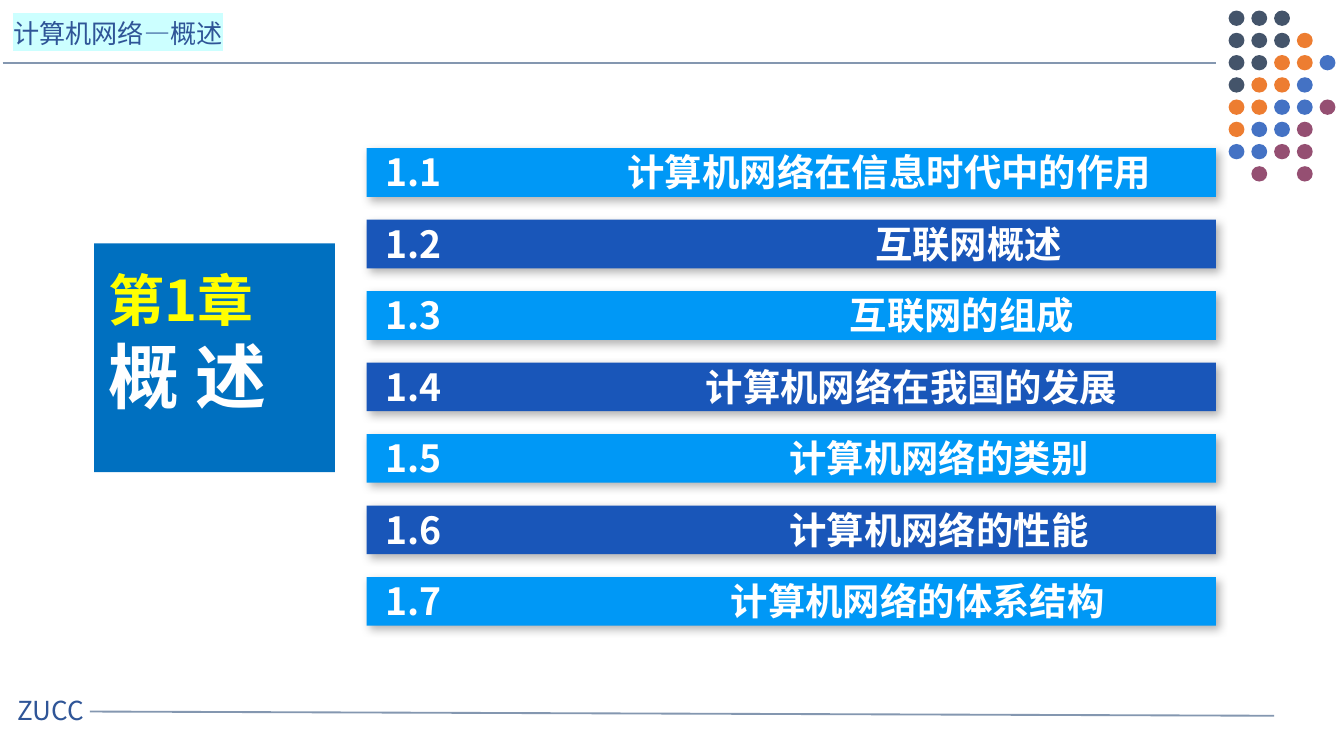
import lxml.etree
import pptx
import pptx.dml.color
import pptx.enum.shapes
import pptx.enum.text
import pptx.oxml.ns
import pptx.util

Cm = pptx.util.Cm
qn = pptx.oxml.ns.qn
SHAPES = pptx.enum.shapes.MSO_SHAPE

COLORS = {
    "rule": "8497B0", "label": "2F5597", "highlight": "CCFFFF",
    "slate": "44546A", "orange": "ED7D31", "blue": "4472C4", "plum": "954F72",
    "light_bar": "0098F6", "dark_bar": "1956B9", "chapter": "0070C0",
    "white": "FFFFFF", "yellow": "FFFF00", "shadow": "000000",
}
DOT_COLORS = {"s": "slate", "o": "orange", "b": "blue", "p": "plum"}
DOT_ROWS = ["sss", "ssso", "ssoob", "soob", "oobbp", "obbp", "bbpp", " p p"]
SECTIONS = [
    ("1.1", "计算机网络在信息时代中的作用", 4.57),
    ("1.2", "互联网概述", 9.25),
    ("1.3", "互联网的组成", 8.77),
    ("1.4", "计算机网络在我国的发展", 6.05),
    ("1.5", "计算机网络的类别", 7.63),
    ("1.6", "计算机网络的性能", 7.63),
    ("1.7", "计算机网络的体系结构", 6.52),
]
BAR_TOP, BAR_PITCH = 2.8, 1.35


def rgb(name):
    return pptx.dml.color.RGBColor.from_string(COLORS[name])


class ChapterSlide:
    font = "Noto Sans CJK SC"

    def __init__(self, presentation):
        self.slide = presentation.slides.add_slide(presentation.slide_layouts[5])

    def format_run(self, run, size, color, bold=False):
        run.font.size = pptx.util.Pt(size)
        run.font.bold = bold
        run.font.color.rgb = rgb(color)
        run.font.name = self.font
        east_asian = lxml.etree.SubElement(run.font._element, qn("a:ea"))
        east_asian.set("typeface", self.font)

    def rule(self, x1, y1, x2, y2):
        line = self.slide.shapes.add_connector(
            pptx.enum.shapes.MSO_CONNECTOR.STRAIGHT, Cm(x1), Cm(y1), Cm(x2), Cm(y2))
        line.line.color.rgb = rgb("rule")
        line.line.width = pptx.util.Pt(1)
        lxml.etree.SubElement(line._element.spPr, qn("a:effectLst"))

    def block(self, kind, left, top, width, height, color):
        block = self.slide.shapes.add_shape(kind, Cm(left), Cm(top), Cm(width), Cm(height))
        block.shadow.inherit = False
        block.fill.solid()
        block.fill.fore_color.rgb = rgb(color)
        block.line.fill.background()
        return block

    def bar(self, top, color):
        bar = self.block(SHAPES.RECTANGLE, 6.93, top, 16.05, 0.92, color)
        effects = bar._element.spPr.find(qn("a:effectLst"))
        shadow = lxml.etree.SubElement(
            effects, qn("a:outerShdw"), blurRad=str(pptx.util.Pt(4.5)),
            dist=str(pptx.util.Pt(2.6)), dir=str(53 * 60000), algn="tl", rotWithShape="0")
        tint = lxml.etree.SubElement(shadow, qn("a:srgbClr"), val=COLORS["shadow"])
        lxml.etree.SubElement(tint, qn("a:alpha"), val="30000")

    def text(self, content, left, top, width, height, size, color, bold=False):
        box = self.slide.shapes.add_textbox(Cm(left), Cm(top), Cm(width), Cm(height))
        box.text_frame.word_wrap = True
        paragraph = box.text_frame.paragraphs[0]
        paragraph.text = content
        self.format_run(paragraph.runs[0], size, color, bold)
        return paragraph

    def highlighted_text(self, content, *place_and_style):
        paragraph = self.text(content, *place_and_style)
        fill = paragraph.runs[0].font._element.find(qn("a:solidFill"))
        highlight = lxml.etree.Element(qn("a:highlight"))
        lxml.etree.SubElement(highlight, qn("a:srgbClr"), val=COLORS["highlight"])
        fill.addnext(highlight)

    def section(self, number, name, name_offset, top):
        paragraph = self.text(f"{number}\t{name}", 7.04, top, 16.05, 1.12, 20, "white", True)
        tabs = lxml.etree.SubElement(paragraph._p.get_or_add_pPr(), qn("a:tabLst"))
        lxml.etree.SubElement(tabs, qn("a:tab"), pos=str(Cm(name_offset)), algn="l")

    def title(self, lines, left, top, width, height):
        title = self.slide.shapes.title
        title.left, title.top, title.width, title.height = map(Cm, (left, top, width, height))
        frame = title.text_frame
        frame.text = "\n".join(content for content, _, _ in lines)
        frame.word_wrap = True
        frame.auto_size = pptx.enum.text.MSO_AUTO_SIZE.NONE
        frame.vertical_anchor = pptx.enum.text.MSO_ANCHOR.TOP
        for paragraph, (_, size, color) in zip(frame.paragraphs, lines):
            paragraph.alignment = pptx.enum.text.PP_ALIGN.LEFT
            self.format_run(paragraph.runs[0], size, color, True)
        self.slide.shapes._spTree.append(title._element)


def main():
    presentation = pptx.Presentation()
    presentation.slide_width = Cm(25.4)
    presentation.slide_height = Cm(14.28)
    chapter = ChapterSlide(presentation)

    chapter.rule(0.05, 1.19, 22.98, 1.19)
    chapter.rule(1.7, 13.44, 24.08, 13.52)
    chapter.text("ZUCC", 0.08, 13, 2.26, 0.86, 14, "label")
    chapter.highlighted_text("计算机网络—概述", 0, 0.2, 5.49, 0.86, 14, "label")

    for row, dots in enumerate(DOT_ROWS):
        for column, dot in enumerate(dots):
            if dot in DOT_COLORS:
                chapter.block(SHAPES.OVAL, 23.22 + 0.43 * column, 0.2 + 0.42 * row,
                              0.3, 0.29, DOT_COLORS[dot])

    for index, (number, name, name_offset) in enumerate(SECTIONS):
        top = BAR_TOP + BAR_PITCH * index
        chapter.bar(top, "dark_bar" if index % 2 else "light_bar")
        chapter.section(number, name, name_offset, top - 0.1)

    chapter.block(SHAPES.RECTANGLE, 1.78, 4.6, 4.55, 4.32, "chapter")
    chapter.title([("第1章", 30, "yellow"), ("概 述", 38, "white")], 1.8, 4.88, 4.52, 3.18)

    presentation.save("out.pptx")


if __name__ == "__main__":
    main()
